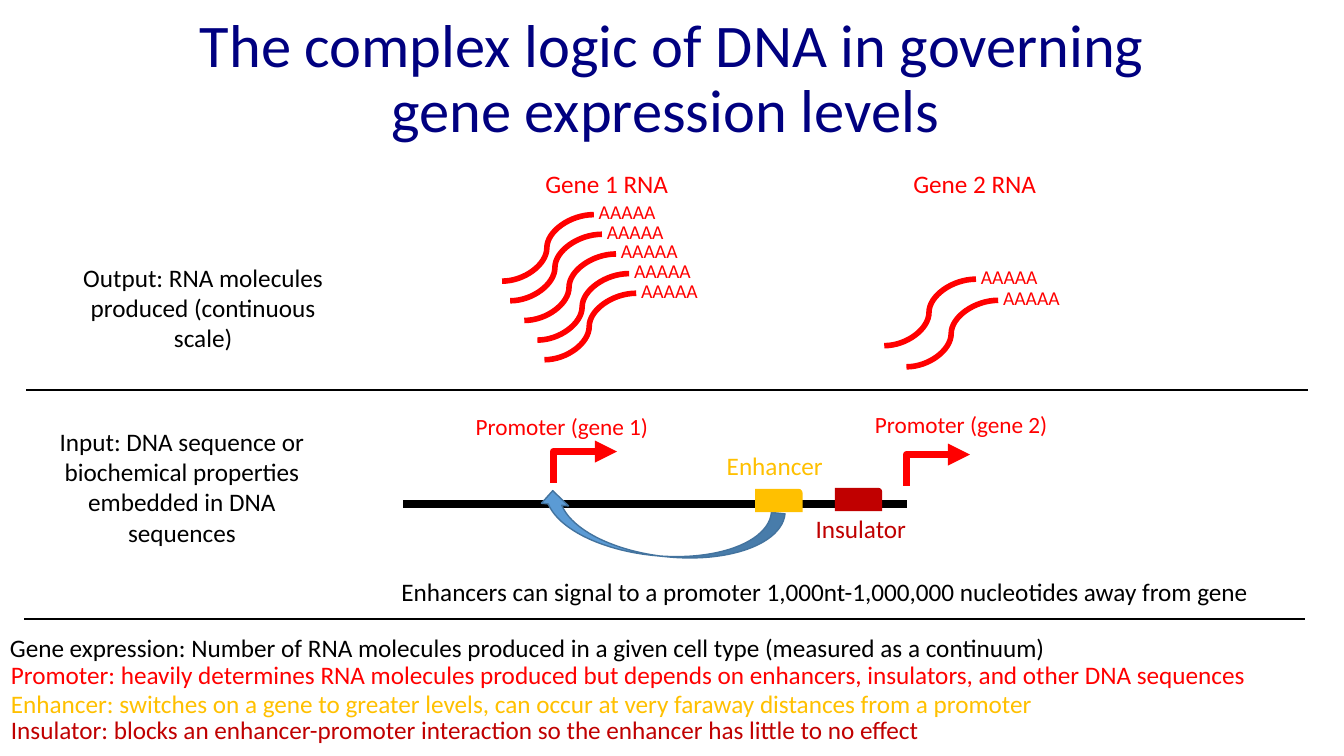
from pptx import Presentation, util as u
from pptx.dml.color import RGBColor
from pptx.enum import shapes, text
from pptx.oxml import ns
from lxml import etree

# Content
WIDTH, HEIGHT = 13.33, 7.5
FONT = "Calibri"
BLACK, NAVY, RED, GOLD, CRIMSON = "000000", "000080", "FF0000", "FFC000", "C00000"
TITLE = "The complex logic of DNA in governing\ngene expression levels "

# Text, box (left, top, width, height), colour, format
LABELS = [
    ("Output: RNA molecules produced (continuous scale)",
     (0.68, 2.55, 2.67, 1.01), BLACK, {"centred": True}),
    ("Input: DNA sequence or biochemical properties embedded in DNA sequences",
     (0.47, 4.18, 2.67, 1.31), BLACK, {"centred": True}),
    ("Enhancers can signal to a promoter 1,000nt-1,000,000 nucleotides away from gene",
     (3.27, 5.67, 9.82, 0.4), BLACK, {"centred": True}),
    ("Enhancer", (7.11, 4.42, 1.17, 0.4), GOLD, {"wrap": False}),
    ("Insulator", (7.99, 5.04, 1.11, 0.4), CRIMSON, {"wrap": False}),
    ("Gene expression: Number of RNA molecules produced in a given cell type "
     "(measured as a continuum)", (0, 6.22, 11.8, 0.4), BLACK, {}),
    ("Promoter: heavily determines RNA molecules produced but depends on enhancers, "
     "insulators, and other DNA sequences",
     (0.01, 6.53, 13.14, 0.52), RED, {"spacing": 0.9}),
    ("Enhancer: switches on a gene to greater levels, can occur at very faraway "
     "distances from a promoter", (0.01, 6.78, 10.36, 0.4), GOLD, {"wrap": False}),
    ("Insulator: blocks an enhancer-promoter interaction so the enhancer has little "
     "to no effect", (0.01, 7.04, 9.24, 0.4), CRIMSON, {"wrap": False}),
]

# Heading, its left, left edges of the strands, first strand top, step down
GENES = [
    ("Gene 1 RNA", 5.31, (4.98, 5.06, 5.2, 5.33, 5.4), 2.13, 0.195),
    ("Gene 2 RNA", 8.96, (8.77, 8.99), 2.77, 0.21),
]
STRAND_WIDTH, STRAND_HEIGHT = 0.91, 0.66

# Label, label corner, foot of the arrow
PROMOTERS = [
    ("Promoter (gene 1)", (4.62, 4.07), (5.49, 4.79)),
    ("Promoter (gene 2)", (8.58, 4.05), (8.99, 4.82)),
]
ARROW_RUN, ARROW_RISE = 0.63, 0.31

BLOCKS = [((7.49, 4.85), GOLD), ((8.28, 4.84), CRIMSON)]
RULES = [(0.26, 12.97, 3.87), (0.24, 12.94, 6.14)]

# DNA: start, then two control points and an end for each curve
DNA_START = (3.93, 5.02)
DNA_CURVES = [
    ((4.01, 4.98), (4.08, 4.94), (4.3, 4.9)),
    ((4.51, 4.86), (4.86, 4.8), (5.21, 4.79)),
    ((5.57, 4.78), (6.05, 4.82), (6.42, 4.85)),
    ((6.8, 4.88), (7.12, 4.96), (7.45, 4.99)),
    ((7.79, 5.01), (8.14, 5.0), (8.43, 4.98)),
    ((8.71, 4.95), (9.01, 4.85), (9.14, 4.82)),
]
STEPS = 8

presentation = Presentation()
presentation.slide_width, presentation.slide_height = u.Inches(WIDTH), u.Inches(HEIGHT)
slide = presentation.slides.add_slide(presentation.slide_layouts[6])


def inches(*lengths):
    return [u.Inches(length) for length in lengths]


def colour(value):
    return RGBColor.from_string(value)


def add_text(words, box, value, size=18, centred=False, wrap=True, spacing=1.0,
             middle=False):
    frame = slide.shapes.add_textbox(*inches(*box)).text_frame
    frame.word_wrap = wrap
    if middle:
        frame.vertical_anchor = text.MSO_ANCHOR.MIDDLE
    paragraph = frame.paragraphs[0]
    paragraph.text = words
    paragraph.line_spacing = spacing
    paragraph.alignment = text.PP_ALIGN.CENTER if centred else text.PP_ALIGN.LEFT
    for run in paragraph.runs:
        run.font.name, run.font.size = FONT, u.Pt(size)
        run.font.color.rgb = colour(value)


def add_line(kind, start, end, value, weight):
    line = slide.shapes.add_connector(kind, *inches(*start, *end))
    line.line.color.rgb = colour(value)
    line.line.width = u.Pt(weight)
    etree.SubElement(line._element.spPr, ns.qn("a:effectLst"))
    return line


def add_block(kind, box, fill, outline=None):
    shape = slide.shapes.add_shape(kind, *inches(*box))
    shape.shadow.inherit = False
    shape.fill.solid()
    shape.fill.fore_color.rgb = colour(fill)
    if outline:
        shape.line.color.rgb = colour(outline)
        shape.line.width = u.Pt(1)
    else:
        shape.line.fill.background()
    return shape


def add_strand(left, top):
    strand = add_line(shapes.MSO_CONNECTOR.CURVE, (left, top + STRAND_HEIGHT),
                      (left + STRAND_WIDTH, top), RED, 4)
    geometry = strand._element.spPr.find(ns.qn("a:prstGeom"))
    guides = geometry.find(ns.qn("a:avLst"))
    if guides is None:
        guides = etree.SubElement(geometry, ns.qn("a:avLst"))
    etree.SubElement(guides, ns.qn("a:gd"), name="adj1", fmla="val 48800")
    add_text("AAAAA", (left + 0.86, top - 0.195, 0.77, 0.34), RED, size=14, wrap=False)


def add_promoter_arrow(foot_x, foot_y):
    # A one-corner elbow, turned a quarter about its centre
    centre_x, centre_y = foot_x + ARROW_RUN / 2, foot_y - ARROW_RISE / 2
    left, top = centre_x - ARROW_RISE / 2, centre_y - ARROW_RUN / 2
    arrow = add_line(shapes.MSO_CONNECTOR.ELBOW, (left, top),
                     (left + ARROW_RISE, top + ARROW_RUN), RED, 5.25)
    properties = arrow._element.spPr
    properties.find(ns.qn("a:prstGeom")).set("prst", "bentConnector2")
    frame = properties.find(ns.qn("a:xfrm"))
    for name, value in (("rot", "5400000"), ("flipH", "1"), ("flipV", "1")):
        frame.set(name, value)
    etree.SubElement(properties.find(ns.qn("a:ln")), ns.qn("a:tailEnd"), type="triangle")


def curve_points(start, curves):
    for first, second, end in curves:
        for step in range(1, STEPS + 1):
            t = step / STEPS
            yield tuple((1 - t) ** 3 * a + 3 * t * (1 - t) ** 2 * b
                        + 3 * t ** 2 * (1 - t) * c + t ** 3 * d
                        for a, b, c, d in zip(start, first, second, end))
        start = end


# Title
add_text(TITLE, (0, 0.32, WIDTH, 0.96), NAVY, size=43.2, centred=True,
         spacing=0.9, middle=True)

# Promoters
for words, corner, foot in PROMOTERS:
    add_promoter_arrow(*foot)
    add_text(words, (*corner, 1.97, 0.52), RED, size=16.6, spacing=0.9)

# DNA strand
builder = slide.shapes.build_freeform(*DNA_START, scale=u.Inches(1))
builder.add_line_segments(list(curve_points(DNA_START, DNA_CURVES)), close=False)
dna = builder.convert_to_shape()
dna.shadow.inherit = False
dna.fill.background()
dna.line.color.rgb = colour(BLACK)
dna.line.width = u.Pt(6)

# Signal from enhancer to promoter, then the enhancer and insulator
signal = add_block(shapes.MSO_SHAPE.CURVED_RIGHT_ARROW, (6.27, 4.02, 0.54, 2.45),
                   "5B9BD5", outline="43739E")
signal.rotation = 275.7
signal._element.spPr.find(ns.qn("a:xfrm")).set("flipV", "1")
for corner, fill in BLOCKS:
    add_block(shapes.MSO_SHAPE.ROUND_1_RECTANGLE, (*corner, 0.47, 0.23), fill)

# RNA strands
for heading, heading_left, lefts, first_top, step_down in GENES:
    add_text(heading, (heading_left, 1.62, 1.44, 0.4), RED, wrap=False)
    for row, left in enumerate(lefts):
        add_strand(left, first_top + row * step_down)

# Dividing rules and remaining labels
for left, right, top in RULES:
    add_line(shapes.MSO_CONNECTOR.STRAIGHT, (left, top), (right, top), BLACK, 1)
for words, box, value, options in LABELS:
    add_text(words, box, value, **options)

presentation.save("out.pptx")
